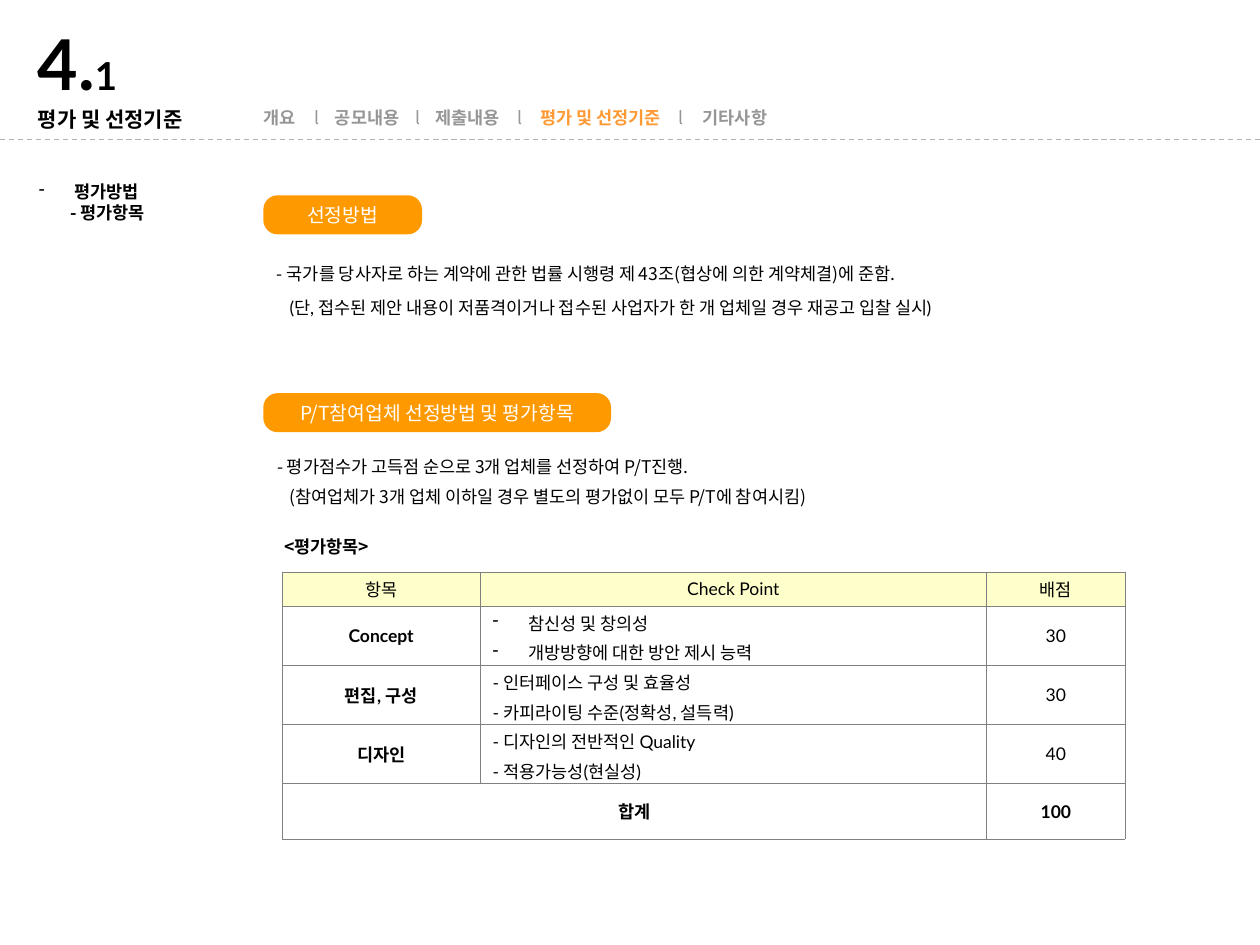
"""Builds the evaluation and selection criteria slide."""
import pptx
import pptx.dml.color
import pptx.enum.dml
import pptx.enum.shapes
import pptx.enum.text
import pptx.oxml
import pptx.oxml.ns
import pptx.util

Inches = pptx.util.Inches
Pt = pptx.util.Pt
RGBColor = pptx.dml.color.RGBColor
ALIGN = pptx.enum.text.PP_ALIGN
ANCHOR = pptx.enum.text.MSO_ANCHOR

BLACK = RGBColor(0x00, 0x00, 0x00)
WHITE = RGBColor(0xFF, 0xFF, 0xFF)
GREY = RGBColor(0x96, 0x96, 0x96)
RULE = RGBColor(0xB2, 0xB2, 0xB2)
BORDER = RGBColor(0x80, 0x80, 0x80)
ORANGE = RGBColor(0xFF, 0x99, 0x00)
ACTIVE = RGBColor(0xFF, 0x99, 0x33)
CREAM = RGBColor(0xFF, 0xFF, 0xCC)
LATO = "Lato"
NOTO = "Noto Sans CJK KR"


def add_xml(parent, tag, **attrs):
    """Append a drawing element with attributes and return it."""
    el = pptx.oxml.parse_xml(f"<a:{tag} {pptx.oxml.ns.nsdecls('a')}/>")
    for name, value in attrs.items():
        el.set(name, str(value))
    parent.append(el)
    return el


def add_run(p, text, size=10, name=NOTO, color=BLACK, bold=False):
    """Add a run with Latin and East Asian fonts."""
    r = p.add_run()
    r.text = text
    values = {"size": Pt(size), "bold": bold, "name": name}
    for key, value in values.items():
        setattr(r.font, key, value)
    r.font.color.rgb = color
    add_xml(r.font._element, "ea", typeface=NOTO)


def set_indent(p, left, first=0):
    """Set the left margin and first-line indent of a paragraph."""
    pPr = p._p.get_or_add_pPr()
    pPr.set("marL", str(Inches(left)))
    pPr.set("indent", str(Inches(first)))


def add_bullet(p):
    """Give a paragraph a black dash bullet with a hanging indent."""
    set_indent(p, 0.25, -0.25)
    pPr = p._p.get_or_add_pPr()
    add_xml(add_xml(pPr, "buClr"), "srgbClr", val=BLACK)
    add_xml(pPr, "buChar", char="-")


def add_tabs(p, stops):
    """Add left tab stops at the given distances."""
    tabs = add_xml(p._p.get_or_add_pPr(), "tabLst")
    for stop in stops:
        add_xml(tabs, "tab", pos=Inches(stop), algn="l")


def format_paragraph(p, **values):
    """Set paragraph attributes."""
    for key, value in values.items():
        setattr(p, key, value)


def add_box(s, left, top, width, height, inset=(0.1, 0.05)):
    """Add a wrapping text box and return its text frame."""
    tf = s.shapes.add_textbox(*map(Inches, (left, top, width, height))).text_frame
    tf.word_wrap = True
    for side, value in zip(("left", "right", "top", "bottom"),
                           (inset[0], inset[0], inset[1], inset[1])):
        setattr(tf, f"margin_{side}", Inches(value))
    return tf


def add_title(s):
    """Add the section number and heading."""
    tf = add_box(s, 0.21, 0.25, 2.35, 0.84, (0.09, 0.04))
    p = tf.paragraphs[0]
    p.line_spacing = 0.8
    add_run(p, "4.", 40, LATO, bold=True)
    add_run(p, "1", 22, LATO, bold=True)
    p = tf.add_paragraph()
    p.line_spacing = 1.1
    add_run(p, "평가 및 선정기준", 12, LATO, bold=True)


def add_rule(s):
    """Add the dashed line below the header."""
    sp = s.shapes.add_connector(pptx.enum.shapes.MSO_CONNECTOR.STRAIGHT,
                                0, Inches(1.11), Inches(10), Inches(1.11))
    sp.line.color.rgb = RULE
    sp.line.width = Pt(0.75)
    sp.line.dash_style = pptx.enum.dml.MSO_LINE.DASH
    add_xml(sp._element.spPr, "effectLst")


def add_navigation(s):
    """Add the section names, with the active one highlighted."""
    names = ["개요", "공모내용", "제출내용", "평가 및 선정기준", "기타사항"]
    p = add_box(s, 1.99, 0.8, 4.25, 0.27).paragraphs[0]
    add_tabs(p, [0.41, 0.57, 1.21, 1.37, 2.02, 2.2, 3.3, 3.49])
    for i, name in enumerate(names):
        if i:
            add_run(p, "\tl\t", color=GREY)
        add_run(p, name, color=ACTIVE if i == 3 else GREY, bold=True)


def add_sidebar(s):
    """Add the list of topics on the left."""
    p = add_box(s, 0.21, 1.39, 1.54, 0.44).paragraphs[0]
    add_bullet(p)
    add_run(p, " 평가방법", bold=True)
    p.add_line_break()
    add_run(p, "- 평가항목", bold=True)


def add_pill(s, text, top, width):
    """Add an orange rounded heading."""
    sp = s.shapes.add_shape(pptx.enum.shapes.MSO_SHAPE.ROUNDED_RECTANGLE,
                            *map(Inches, (2.09, top, width, 0.31)))
    sp.adjustments[0] = 0.365
    sp.shadow.inherit = False
    sp.fill.solid()
    sp.fill.fore_color.rgb = ORANGE
    sp.line.fill.background()
    tf = sp.text_frame
    tf.word_wrap = False
    tf.vertical_anchor = ANCHOR.MIDDLE
    tf.paragraphs[0].alignment = ALIGN.CENTER
    add_run(tf.paragraphs[0], text, 11, color=WHITE)


def add_note(s, box, lines, spacing, before=0, name=NOTO, bold=False):
    """Add a statement with its remark indented on the second line."""
    tf = add_box(s, *box)
    for i, line in enumerate(lines):
        p = tf.add_paragraph() if i else tf.paragraphs[0]
        format_paragraph(p, line_spacing=spacing, space_before=Pt(before if i else 0))
        if i:
            set_indent(p, 0.1)
        add_run(p, line, name=name if i else NOTO, bold=bold)


def fill_cell(cell, lines, fill=WHITE, bold=False, listed=False, bullets=False):
    """Fill a table cell with text, colour and borders."""
    values = {"margin_left": Inches(0.1), "margin_right": Inches(0.1),
              "margin_top": Inches(0.03 if listed else 0), "margin_bottom": 0,
              "vertical_anchor": ANCHOR.MIDDLE}
    for key, value in values.items():
        setattr(cell, key, value)
    for i, line in enumerate(lines):
        p = cell.text_frame.add_paragraph() if i else cell.text_frame.paragraphs[0]
        format_paragraph(p, alignment=ALIGN.LEFT if listed else ALIGN.CENTER,
                         space_before=Pt(2.5 if i else 0))
        if bullets:
            add_bullet(p)
        add_run(p, line, name=LATO, bold=bold)
    tcPr = cell._tc.get_or_add_tcPr()
    for side in ("lnL", "lnR", "lnT", "lnB"):
        ln = add_xml(tcPr, side, w=Pt(0.45))
        add_xml(add_xml(ln, "solidFill"), "srgbClr", val=BORDER)
    cell.fill.solid()
    cell.fill.fore_color.rgb = fill


def add_criteria_table(s):
    """Add the table of criteria and points."""
    rows = [("항목", ["Check Point"], "배점"),
            ("Concept", [" 참신성 및 창의성", " 개방방향에 대한 방안 제시 능력"], "30"),
            ("편집, 구성", ["- 인터페이스 구성 및 효율성", "- 카피라이팅 수준(정확성, 설득력)"], "30"),
            ("디자인", ["- 디자인의 전반적인 Quality", "- 적용가능성(현실성)"], "40"),
            ("합계", [], "100")]
    table = s.shapes.add_table(5, 3, *map(Inches, (2.24, 4.54, 6.69, 2.12))).table
    for col, width in zip(table.columns, (1.57, 4.02, 1.1)):
        col.width = Inches(width)
    for row, height in zip(table.rows, (0.27, 0.47, 0.47, 0.47, 0.44)):
        row.height = Inches(height)
    for i, (item, checks, points) in enumerate(rows):
        fill = WHITE if i else CREAM
        fill_cell(table.cell(i, 0), [item], fill, bold=i > 0)
        fill_cell(table.cell(i, 1), checks, fill, listed=0 < i < 4, bullets=i == 1)
        fill_cell(table.cell(i, 2), [points], fill, bold=i == 4)
    table.cell(4, 0).merge(table.cell(4, 1))


def main():
    """Build and save the slide."""
    prs = pptx.Presentation()
    prs.slide_width, prs.slide_height = Inches(10), Inches(7.5)
    s = prs.slides.add_slide(prs.slide_layouts[6])
    add_rule(s)
    add_title(s)
    add_navigation(s)
    add_sidebar(s)
    add_pill(s, "선정방법", 1.55, 1.26)
    add_note(s, (2.1, 1.94, 6.76, 0.94),
             ["- 국가를 당사자로 하는 계약에 관한 법률 시행령 제 43조(협상에 의한 계약체결)에 준함.",
              "(단, 접수된 제안 내용이 저품격이거나 접수된 사업자가 한 개 업체일 경우 재공고 입찰 실시)"],
             1.6, name=LATO)
    add_pill(s, "P/T참여업체 선정방법 및 평가항목", 3.12, 2.76)
    add_note(s, (2.1, 3.59, 7.31, 0.63),
             ["- 평가점수가 고득점 순으로 3개 업체를 선정하여 P/T진행.",
              "(참여업체가 3개 업체 이하일 경우 별도의 평가없이 모두 P/T에 참여시킴)"], 0.9, 6.2)
    add_note(s, (2.16, 4.22, 3.84, 0.29), ["<평가항목>"], 0.9, bold=True)
    add_criteria_table(s)
    prs.save("out.pptx")


if __name__ == "__main__":
    main()
